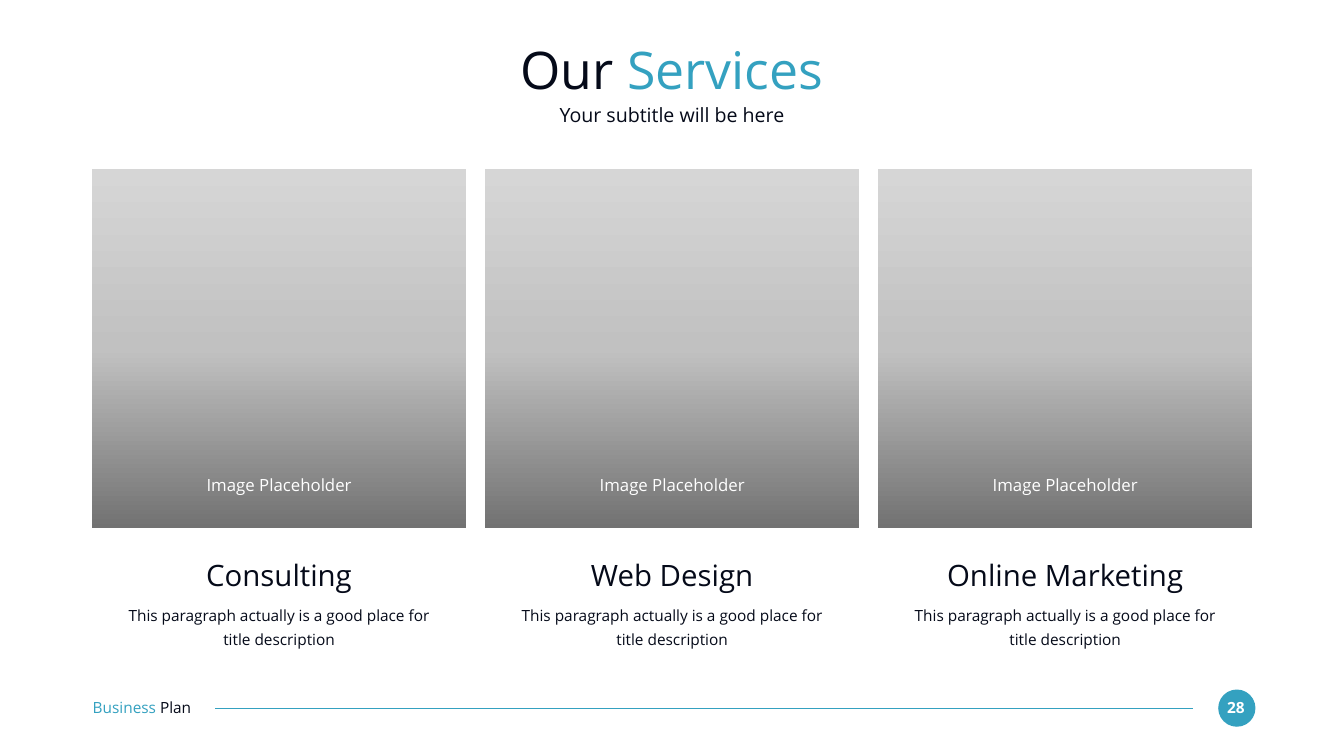
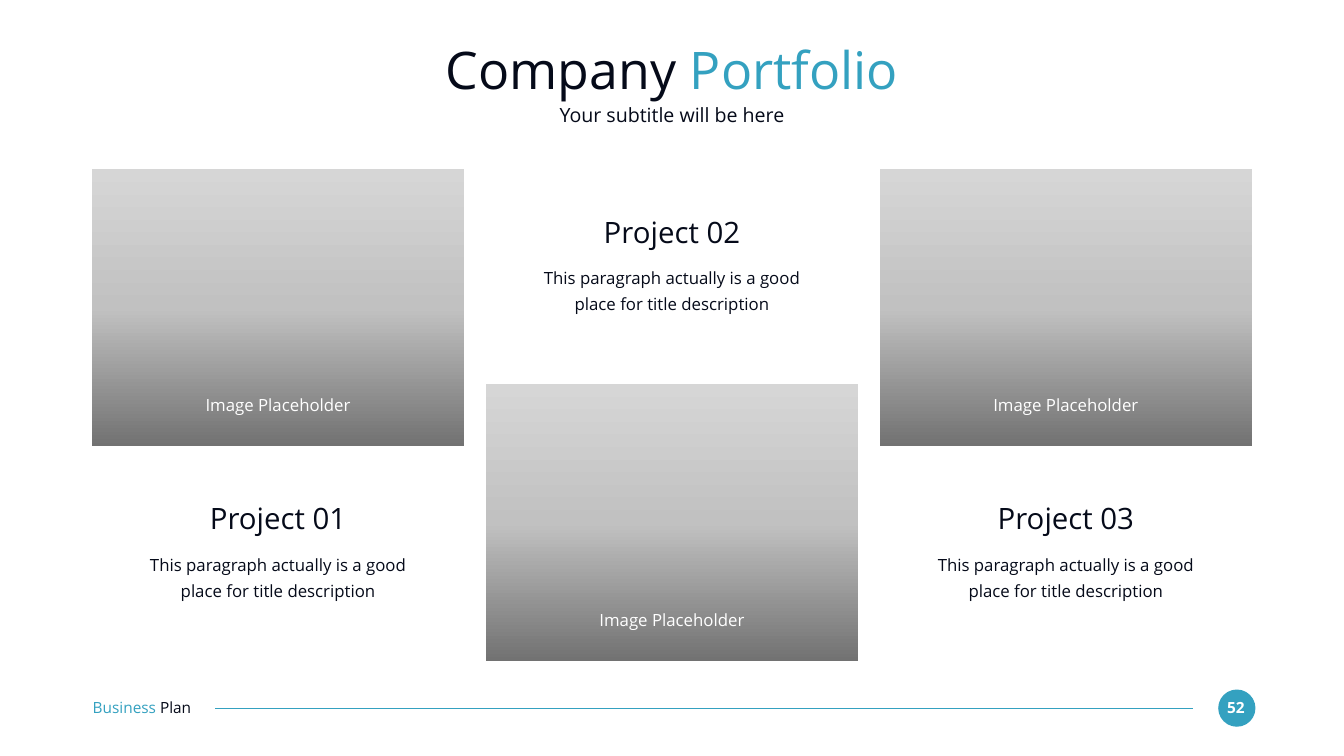
from copy import deepcopy

from lxml.etree import SubElement
from pptx import Presentation
from pptx.dml.color import RGBColor
from pptx.enum.shapes import MSO_CONNECTOR, MSO_SHAPE
from pptx.enum.text import MSO_ANCHOR, MSO_AUTO_SIZE, PP_ALIGN
from pptx.oxml.ns import qn
from pptx.util import Pt

FONT = "Open Sans"
INK = "050A19"
ACCENT = "34A1C0"
WHITE = "FFFFFF"
GRADIENT = [(0, "727272"), (0.5, "C1C1C1"), (1, "D6D6D6")]
WIDTH, HEIGHT = 1920, 1080
HEADER = (132, 52.5, 1656, 130)
FOOTER = (132.5, 985, 1661, 53.2)
LEFT, TOP = 131.2, 242
DESCRIPTION = "This paragraph actually is a good place for title description"


def rgb(value):
    """Turn a hex string into a colour."""
    return RGBColor.from_string(value)


def write(shape, runs, size, align=PP_ALIGN.CENTER, bold=False, spacing=None):
    """Fill a shape with one paragraph of (text, colour) runs."""
    tf = shape.text_frame
    tf.word_wrap = True
    tf.auto_size = MSO_AUTO_SIZE.NONE
    tf.vertical_anchor = MSO_ANCHOR.MIDDLE
    tf.margin_left = tf.margin_top = tf.margin_right = tf.margin_bottom = 0
    p = tf.paragraphs[0]
    p.alignment = align
    if spacing:
        p.line_spacing = spacing
    for text, color in runs:
        r = p.add_run()
        r.text = text
        r.font.name = FONT
        r.font.size = Pt(size)
        r.font.bold = bold
        r.font.color.rgb = rgb(color)


def add_text(s, box, runs, size, **style):
    """Add a text box at a box given in points."""
    write(s.shapes.add_textbox(*map(Pt, box)), runs, size, **style)


def add_shape(s, kind, box):
    """Add a preset shape without line or shadow."""
    sp = s.shapes.add_shape(kind, *map(Pt, box))
    sp.shadow.inherit = False
    sp.line.fill.background()
    return sp


def add_header(s, box, first, second):
    """Place the two-colour title and the subtitle."""
    x, y, w, h = box
    title = s.shapes.title
    title.left, title.top, title.width, title.height = map(Pt, (x, y, w, 91.5))
    write(title, [(first + " ", INK), (second, ACCENT)], 74)
    add_text(s, (x, y + h - 36, w, 35.3), [("Your subtitle will be here", INK)], 28)


def add_footer(s, box, number):
    """Place the document name, the rule and the page number badge."""
    x, y, w, h = box
    middle = y + h / 2
    badge = add_shape(s, MSO_SHAPE.OVAL, (x + w - h, y, h, h))
    badge.fill.solid()
    badge.fill.fore_color.rgb = rgb(ACCENT)
    add_text(s, (x + w - h + 4, middle - 14, 42.5, 26.6), [(str(number), WHITE)], 22, bold=True)
    rule = s.shapes.add_connector(
        MSO_CONNECTOR.STRAIGHT, Pt(x + w - 89.5), Pt(middle), Pt(x + 175), Pt(middle))
    rule.line.color.rgb = rgb(ACCENT)
    rule.line.width = Pt(1.5)
    SubElement(rule._element.spPr, qn("a:effectLst"))
    add_text(s, (x, middle - 15, 186.5, 26.6), [("Business ", ACCENT), ("Plan", INK)], 22,
             align=PP_ALIGN.LEFT)


def add_image_area(s, box, inset, rise):
    """Place a grey gradient panel with a caption near its foot."""
    x, y, w, h = box
    sp = add_shape(s, MSO_SHAPE.RECTANGLE, box)
    sp.fill.gradient()
    sp.fill.gradient_angle = 90
    stops = sp._element.spPr.find(".//" + qn("a:gsLst"))
    stops.insert(1, deepcopy(stops[0]))
    for stop, (position, color) in zip(sp.fill.gradient_stops, GRADIENT):
        stop.position = position
        stop.color.rgb = rgb(color)
    add_text(s, (x + inset, y + h - rise, w - 2 * inset, 28.8), [("Image Placeholder", WHITE)], 24)


def add_description(s, box, heading, size, gap):
    """Place a heading with its description below."""
    x, y, w, h = box
    add_text(s, (x, y, w, 51), [(heading, INK)], 42)
    add_text(s, (x, y + gap, w, h - gap), [(DESCRIPTION, INK)], size, spacing=1.3)


def add_base(prs, first, second, number):
    """Add a slide with the shared header and footer."""
    s = prs.slides.add_slide(prs.slide_layouts[5])
    s.background.fill.solid()
    s.background.fill.fore_color.rgb = rgb(WHITE)
    add_footer(s, FOOTER, number)
    add_header(s, HEADER, first, second)
    return s


def add_services(prs):
    """Build three equal service columns."""
    s = add_base(prs, "Our", "Services", 28)
    w, h, pitch = 535, 512.6, 561.5
    for i, name in enumerate(["Consulting", "Web Design", "Online Marketing"]):
        x = LEFT + i * pitch
        add_image_area(s, (x, TOP, w, h), 91, 76.3)
        add_description(s, (x + 45, TOP + h + 41, w - 90, 129.6), name, 22, 63.4)


def add_portfolio(prs):
    """Build three project columns, the middle one with its panel below."""
    s = add_base(prs, "Company", "Portfolio", 52)
    w, h, pitch = 532, 395.3, 562.7
    for i in range(3):
        x = LEFT + i * pitch
        lowered = i == 1
        panel_top = TOP + 306.7 if lowered else TOP
        text_top = TOP + 63.3 if lowered else TOP + h + 77
        add_image_area(s, (x, panel_top, w, h), 60.5, 73.5)
        add_description(s, (x + 52, text_top, w - 104, 142.6), f"Project {i + 1:02d}", 24, 69.9)


def main():
    """Build and save the presentation."""
    prs = Presentation()
    prs.slide_width, prs.slide_height = Pt(WIDTH), Pt(HEIGHT)
    add_services(prs)
    add_portfolio(prs)
    prs.save("out.pptx")


if __name__ == "__main__":
    main()
